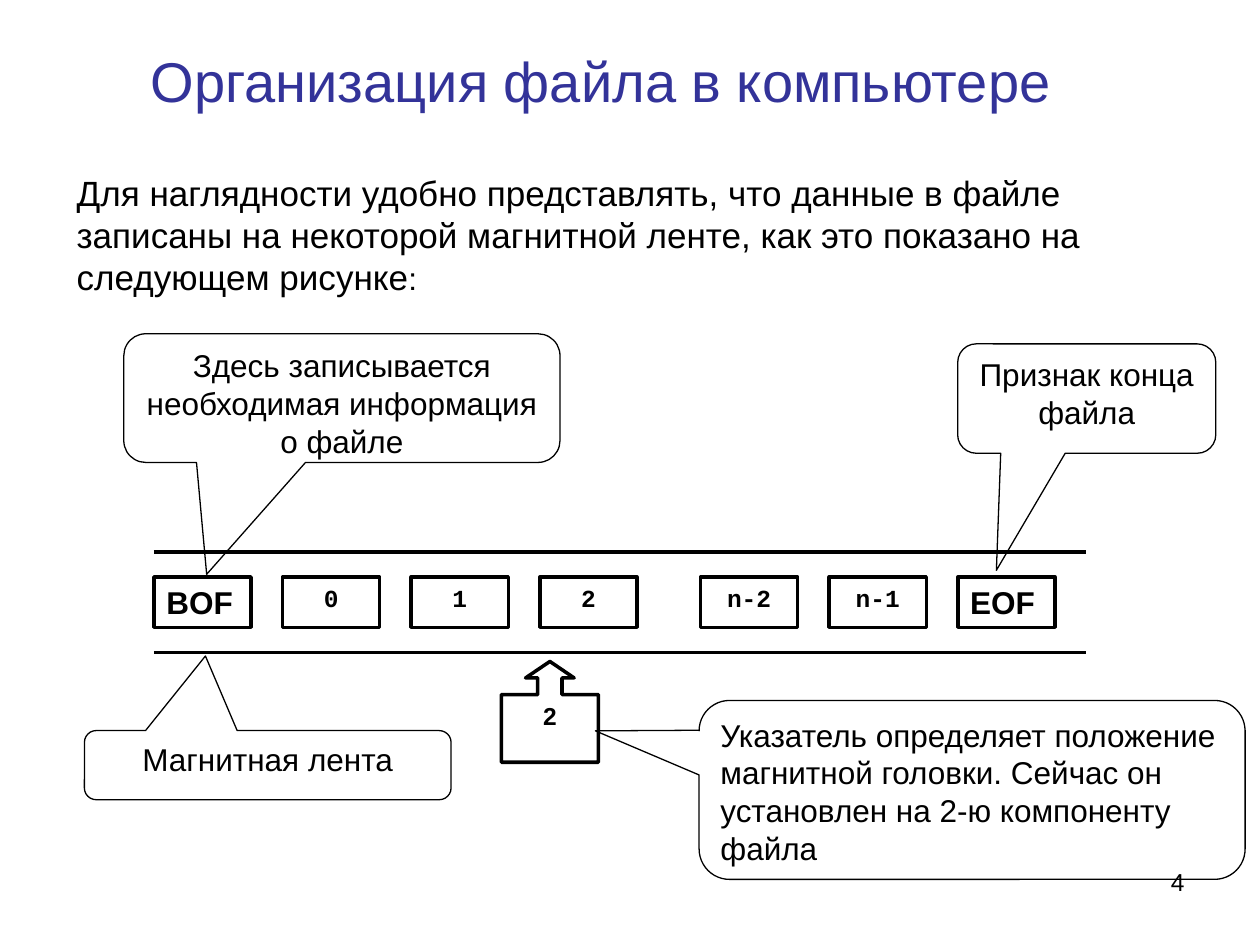
from lxml.etree import SubElement
from pptx import Presentation
from pptx.dml.color import RGBColor
from pptx.enum.shapes import MSO_CONNECTOR as Connector, MSO_SHAPE as Shape
from pptx.enum.text import MSO_ANCHOR as Anchor, MSO_AUTO_SIZE as AutoSize, PP_ALIGN as Align
from pptx.oxml.ns import qn
from pptx.util import Pt

COLORS = {"title": "333399", "ink": "000000", "paper": "FFFFFF"}


def write(box, text, size=18, font="Arial", color="ink", bold=False,
          align=Align.CENTER, anchor=Anchor.TOP):
    """Fill a shape with one paragraph; return the paragraph."""
    frame = box.text_frame
    frame.word_wrap = True
    frame.auto_size = AutoSize.NONE
    frame.vertical_anchor = anchor
    para = frame.paragraphs[0]
    para.alignment = align
    span = para.add_run()
    span.text = text
    span.font.size = Pt(size)
    span.font.name = font
    span.font.bold = bold
    span.font.color.rgb = RGBColor.from_string(COLORS[color])
    return para


def outlined(shapes, kind, place, width, fill=None, adjustments=()):
    """Add a black-outlined shape at place (left, top, width, height)."""
    shape = shapes.add_shape(kind, *[Pt(value) for value in place])
    shape.shadow.inherit = False
    if fill:
        shape.fill.solid()
        shape.fill.fore_color.rgb = RGBColor.from_string(COLORS[fill])
    else:
        shape.fill.background()
    shape.line.color.rgb = RGBColor.from_string(COLORS["ink"])
    shape.line.width = Pt(width)
    for index, value in enumerate(adjustments):
        shape.adjustments[index] = value
    return shape


deck = Presentation()
deck.slide_width, deck.slide_height = Pt(720), Pt(540)
page = deck.slides.add_slide(deck.slide_layouts[5])

# Title
title = page.shapes.title
title.left, title.top, title.width, title.height = Pt(8.5), Pt(24), Pt(670), Pt(44)
write(title, "Организация файла в компьютере", size=32, color="title", anchor=Anchor.MIDDLE)

# Tape: two edges and a row of cells, with a gap before the last three
tape = page.shapes.add_group_shape().shapes
for y in (315.5, 373):
    edge = tape.add_connector(Connector.STRAIGHT, Pt(88), Pt(y), Pt(620.5), Pt(y))
    edge.line.color.rgb = RGBColor.from_string(COLORS["ink"])
    edge.line.width = Pt(2)
    SubElement(edge._element.spPr, qn("a:effectLst"))

cells = [("BOF", 0), ("0", 1), ("1", 2), ("2", 3), ("n-2", 4.25), ("n-1", 5.25), ("EOF", 6.25)]
for label, slot in cells:
    cell = outlined(tape, Shape.RECTANGLE, (88 + 73.5 * slot, 329.75, 55.5, 28.75), 2, "paper")
    if label in ("BOF", "EOF"):
        write(cell, label, bold=True, align=Align.JUSTIFY)
    else:
        write(cell, label, size=14, font="Courier New", bold=True)

# Head pointer
pointer = outlined(page.shapes, Shape.UP_ARROW_CALLOUT, (286.5, 378, 55.5, 57.6), 2, "paper",
                   (0.25, 0.25, 0.17, 0.67))
write(pointer, "2", size=14, bold=True)

# Introduction
intro = page.shapes.add_textbox(Pt(36.75), Pt(94.5), Pt(652.5), Pt(79))
para = write(intro, "Для наглядности удобно представлять, что данные в файле записаны "
             "на некоторой магнитной ленте, как это показано на следующем рисунке",
             size=20, align=Align.LEFT)
colon = para.add_run()
colon.text = ":"
colon.font.size = Pt(18)
colon.font.name = "Arial"
colon.font.color.rgb = RGBColor.from_string(COLORS["ink"])

# Callouts: text, place, tip offset as a share of the size, alignment
callouts = [
    ("Указатель определяет положение магнитной головки. Сейчас он установлен "
     "на 2-ю компоненту файла", (399.5, 400.25, 312, 102.25), (-0.69, -0.33), Align.LEFT),
    ("Магнитная лента", (48.25, 417.5, 209.5, 39.5), (-0.17, -1.58), Align.CENTER),
    ("Здесь записывается необходимая информация о файле",
     (70.75, 190.75, 249.25, 73.5), (-0.31, 1.37), Align.CENTER),
    ("Признак конца файла", (547.25, 196.5, 147.5, 62.5), (-0.35, 1.57), Align.CENTER),
]
for text, place, tip, align in callouts:
    callout = outlined(page.shapes, Shape.ROUNDED_RECTANGULAR_CALLOUT, place, 0.75,
                       adjustments=(*tip, 0.17))
    write(callout, text, align=align)

# Page number
number = page.shapes.add_textbox(Pt(516), Pt(492), Pt(168), Pt(37.5))
write(number, "4", size=14, align=Align.RIGHT)

deck.save("out.pptx")
